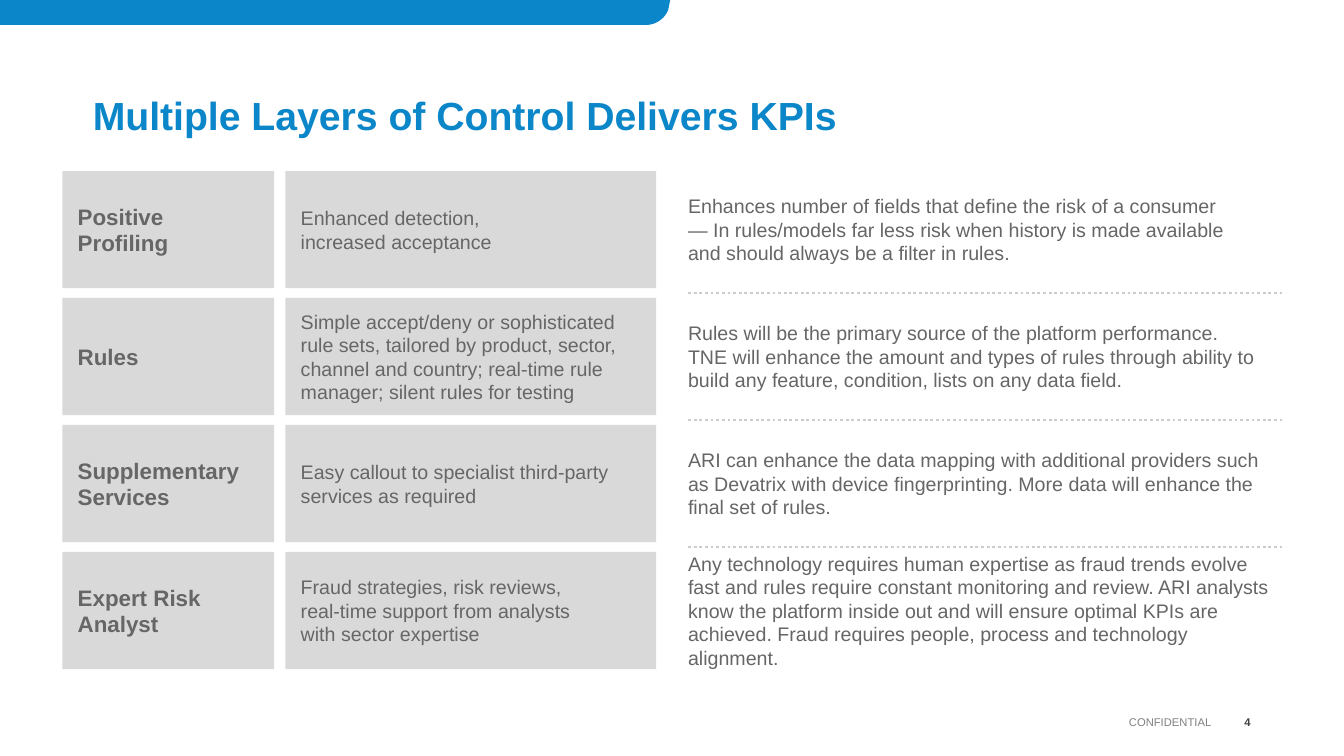
import dataclasses

import lxml.etree
import pptx
import pptx.dml.color
import pptx.enum.dml
import pptx.enum.shapes
import pptx.enum.text
import pptx.oxml
import pptx.oxml.ns
import pptx.shapes.autoshape
import pptx.slide
import pptx.util

Cm = pptx.util.Cm
Pt = pptx.util.Pt
Align = pptx.enum.text.PP_ALIGN
Anchor = pptx.enum.text.MSO_ANCHOR

BLUE, PANEL, TEXT, DOTS, BLACK = "0A86C9", "D9D9D9", "666666", "CCCCCC", "000000"

ROW_TOP, ROW_HEIGHT, ROW_GAP = 4.31, 2.95, 0.25
LABEL_LEFT, LABEL_WIDTH = 1.57, 5.34
DETAIL_LEFT, DETAIL_WIDTH = 7.19, 9.35
BENEFIT_LEFT, BENEFIT_WIDTH = 17.34, 14.96


@dataclasses.dataclass
class Box:
    """Place of an element, in centimetres."""
    left: float
    top: float
    width: float
    height: float

    def lengths(self) -> list[pptx.util.Cm]:
        return [Cm(value) for value in dataclasses.astuple(self)]


@dataclasses.dataclass
class TextStyle:
    size: float
    color: str = TEXT
    bold: bool = False
    align: Align = Align.LEFT
    anchor: Anchor = Anchor.MIDDLE
    line_spacing: float = 1.0
    opacity: int = 100


@dataclasses.dataclass
class Layer:
    label: str
    detail: str
    benefit: str


LABEL = TextStyle(16, bold=True)
BODY = TextStyle(14)

LAYERS = [
    Layer(
        "Positive Profiling",
        "Enhanced detection,\nincreased acceptance",
        "Enhances number of fields that define the risk of a consumer\n"
        "— In rules/models far less risk when history is made available\n"
        "and should always be a filter in rules.",
    ),
    Layer(
        "Rules",
        "Simple accept/deny or sophisticated rule sets, tailored by product, sector, "
        "channel and country; real-time rule manager; silent rules for testing",
        "Rules will be the primary source of the platform performance.\n"
        "TNE will enhance the amount and types of rules through ability to "
        "build any feature, condition, lists on any data field.",
    ),
    Layer(
        "Supplementary Services",
        "Easy callout to specialist third-party services as required",
        "ARI can enhance the data mapping with additional providers such as Devatrix "
        "with device fingerprinting. More data will enhance the final set of rules.",
    ),
    Layer(
        "Expert Risk Analyst",
        "Fraud strategies, risk reviews,\nreal-time support from analysts\n"
        "with sector expertise",
        "Any technology requires human expertise as fraud trends evolve fast and rules "
        "require constant monitoring and review. ARI analysts know the platform inside "
        "out and will ensure optimal KPIs are achieved. Fraud requires people, process "
        "and technology alignment.",
    ),
]


def rgb(color: str) -> pptx.dml.color.RGBColor:
    return pptx.dml.color.RGBColor.from_string(color)


def set_all(target: object, values: dict[str, object]) -> None:
    for name, value in values.items():
        setattr(target, name, value)


def write_text(shape: pptx.shapes.autoshape.Shape, text: str, style: TextStyle,
               margin_x: float = 0, margin_y: float = 0) -> None:
    frame = shape.text_frame
    set_all(frame, {
        "word_wrap": True, "vertical_anchor": style.anchor,
        "margin_left": Cm(margin_x), "margin_right": Cm(margin_x),
        "margin_top": Cm(margin_y), "margin_bottom": Cm(margin_y),
    })
    paragraph = frame.paragraphs[0]
    paragraph.text = text.replace("\n", "\v")
    set_all(paragraph, {"alignment": style.align, "line_spacing": style.line_spacing})
    for run in paragraph.runs:
        set_all(run.font, {"name": "Arial", "size": Pt(style.size), "bold": style.bold})
        run.font.color.rgb = rgb(style.color)
        if style.opacity < 100:
            color_element = run.font.fill._xPr.find(".//" + pptx.oxml.ns.qn("a:srgbClr"))
            alpha = lxml.etree.SubElement(color_element, pptx.oxml.ns.qn("a:alpha"))
            alpha.set("val", str(style.opacity * 1000))


def paint(shape: pptx.shapes.autoshape.Shape, color: str) -> None:
    """Give a plain fill without outline or shadow."""
    shape.shadow.inherit = False
    shape.fill.solid()
    shape.fill.fore_color.rgb = rgb(color)
    shape.line.fill.background()


def add_text(slide: pptx.slide.Slide, box: Box, text: str, style: TextStyle) -> None:
    write_text(slide.shapes.add_textbox(*box.lengths()), text, style)


def add_panel(slide: pptx.slide.Slide, box: Box, text: str, style: TextStyle) -> None:
    panel = slide.shapes.add_shape(
        pptx.enum.shapes.MSO_SHAPE.RECTANGLE, *box.lengths())
    paint(panel, PANEL)
    write_text(panel, text, style, margin_x=0.39, margin_y=0.25)


def add_separator(slide: pptx.slide.Slide, y: float) -> None:
    separator = slide.shapes.add_connector(
        pptx.enum.shapes.MSO_CONNECTOR.STRAIGHT,
        Cm(BENEFIT_LEFT), Cm(y), Cm(BENEFIT_LEFT + BENEFIT_WIDTH), Cm(y))
    set_all(separator.line, {
        "width": Pt(2), "dash_style": pptx.enum.dml.MSO_LINE.ROUND_DOT})
    separator.line.color.rgb = rgb(DOTS)
    lxml.etree.SubElement(separator._element.spPr, pptx.oxml.ns.qn("a:effectLst"))


def add_header_band(slide: pptx.slide.Slide) -> None:
    """Draw the top band, its lower right corner following a cubic curve."""
    corner = [(16.84, 0.25), (16.76, 0.46), (16.54, 0.63), (16.28, 0.63)]
    steps = 16
    curve = []
    for step in range(steps + 1):
        t = step / steps
        weights = ((1 - t) ** 3, 3 * t * (1 - t) ** 2, 3 * t ** 2 * (1 - t), t ** 3)
        x, y = (sum(weight * point[axis] for weight, point in zip(weights, corner))
                for axis in (0, 1))
        curve.append((Cm(x), Cm(y)))
    builder = slide.shapes.build_freeform(0, 0)
    builder.add_line_segments([(Cm(16.89), 0), *curve, (0, Cm(0.63))], close=True)
    paint(builder.convert_to_shape(), BLUE)


def add_layer(slide: pptx.slide.Slide, layer: Layer, top: float) -> None:
    add_panel(slide, Box(LABEL_LEFT, top, LABEL_WIDTH, ROW_HEIGHT), layer.label, LABEL)
    add_panel(slide, Box(DETAIL_LEFT, top, DETAIL_WIDTH, ROW_HEIGHT), layer.detail, BODY)
    add_text(slide, Box(BENEFIT_LEFT, top, BENEFIT_WIDTH, ROW_HEIGHT), layer.benefit, BODY)


def main() -> None:
    presentation = pptx.Presentation()
    set_all(presentation, {"slide_width": Cm(33.87), "slide_height": Cm(19.05)})
    slide = presentation.slides.add_slide(presentation.slide_layouts[6])

    add_header_band(slide)
    add_text(slide, Box(2.34, 2.01, 29.21, 1.5), "Multiple Layers of Control Delivers KPIs",
             TextStyle(28, BLUE, bold=True, anchor=Anchor.BOTTOM, line_spacing=0.9))

    for index, layer in enumerate(LAYERS):
        top = ROW_TOP + index * (ROW_HEIGHT + ROW_GAP)
        add_layer(slide, layer, top)
        if index:
            add_separator(slide, top - ROW_GAP / 2)

    add_text(slide, Box(12.14, 17.93, 18.39, 0.51), "CONFIDENTIAL",
             TextStyle(8, BLACK, align=Align.RIGHT, opacity=50))
    add_text(slide, Box(30.53, 17.93, 0.99, 0.51), "4",
             TextStyle(8, BLACK, bold=True, align=Align.RIGHT, opacity=75))
    presentation.save("out.pptx")


if __name__ == "__main__":
    main()
